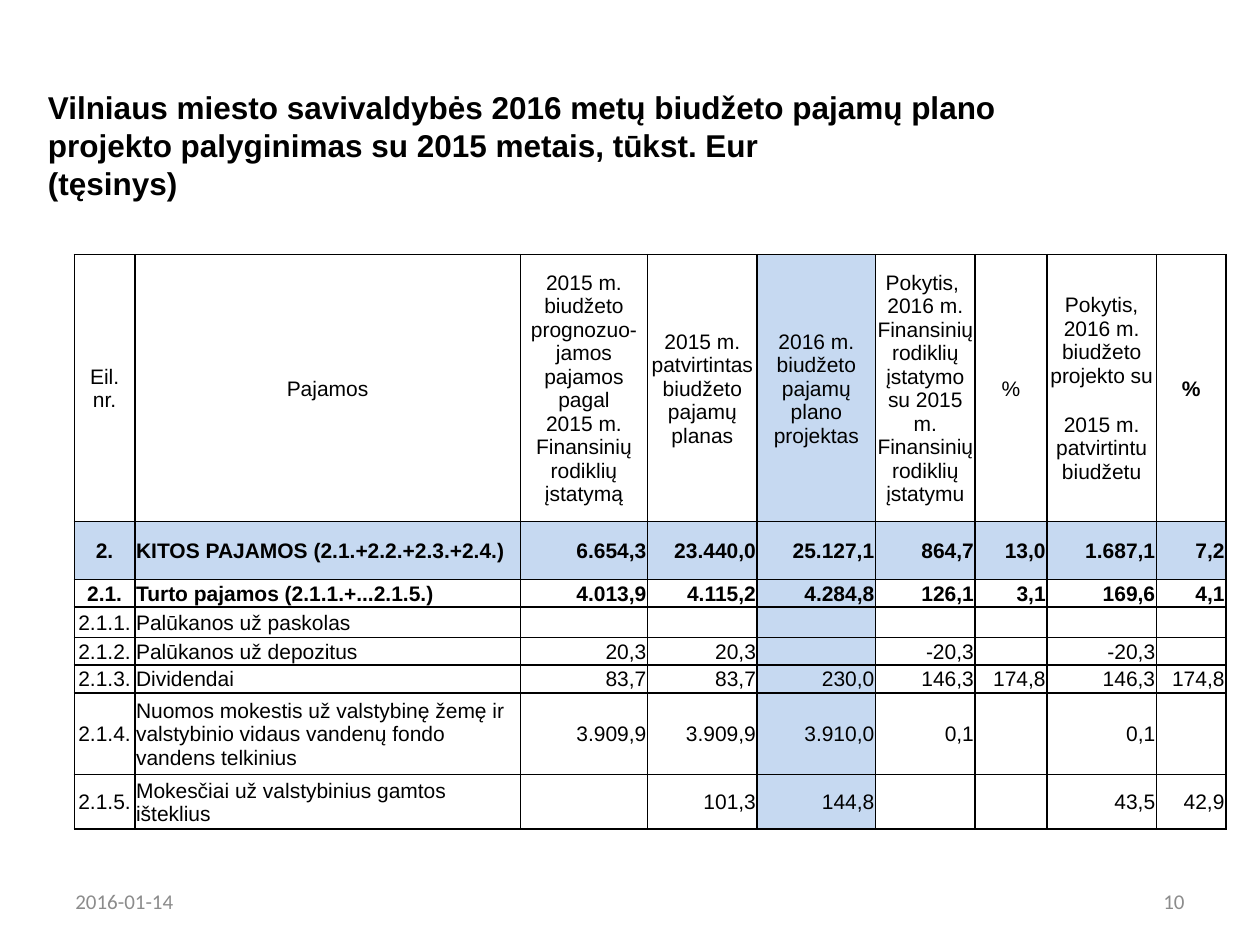
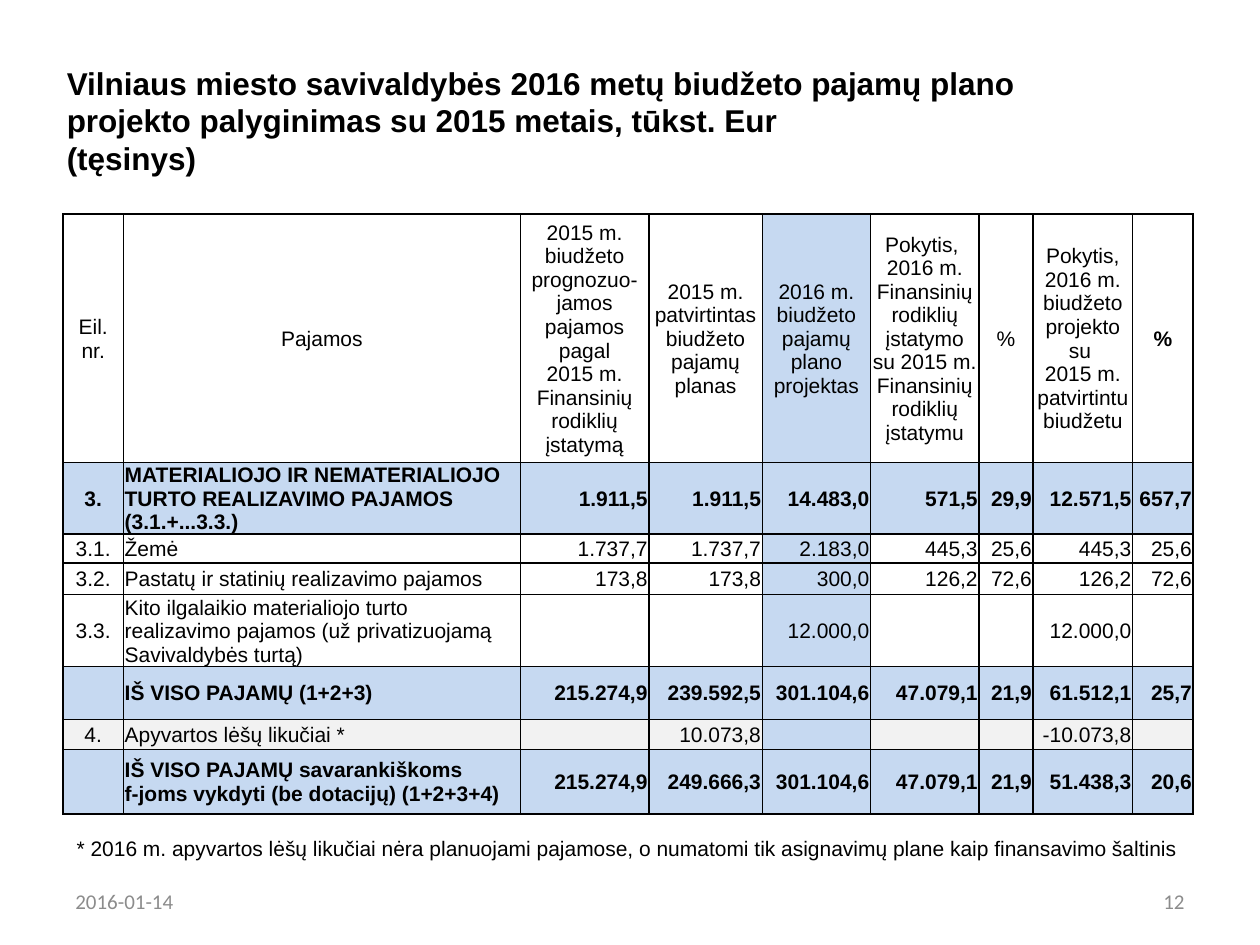
from lxml.etree import SubElement
from pptx import Presentation
from pptx.dml.color import RGBColor
from pptx.enum.text import MSO_ANCHOR as Anchor, MSO_AUTO_SIZE as AutoSize, PP_ALIGN as Align
from pptx.oxml import parse_xml
from pptx.oxml.ns import nsdecls, qn
from pptx.util import Inches, Pt

# Shared wording
TITLE = ("Vilniaus miesto savivaldybės 2016 metų biudžeto pajamų plano projekto "
         "palyginimas su 2015 metais, tūkst. Eur\v(tęsinys)")
DATE = "2016-01-14"
HEADINGS = [
    "Eil. nr.",
    "Pajamos",
    "2015 m. biudžeto prognozuo-jamos pajamos\vpagal\v2015 m. Finansinių rodiklių įstatymą",
    "2015 m. patvirtintas biudžeto pajamų planas",
    "2016 m. biudžeto pajamų plano projektas",
    "Pokytis, \v2016 m. Finansinių rodiklių įstatymo su 2015 m. Finansinių rodiklių įstatymu",
    "%",
    "Pokytis, 2016 m. biudžeto projekto su \v2015 m. patvirtintu biudžetu",
    "%",
]
NUMBER_COLUMN, NAME_COLUMN, PROJECT_COLUMN, LAST_COLUMN = 0, 1, 4, 8

# Shared style: text formats, then fill and weight for each kind of table row
BLACK, GREY, BLUE, PALE = "000000", "8C8C8C", "C6D9F1", "F2F2F2"
TITLE_TEXT = {"name": "Arial", "size": Pt(18), "bold": True, "color": BLACK}
BODY_TEXT = {"name": "Arial", "size": Pt(12), "bold": False, "color": BLACK}
BOLD_TEXT = {**BODY_TEXT, "bold": True}
FOOTER_TEXT = {"name": "Calibri", "size": Pt(12), "bold": False, "color": GREY}
ROW_STYLES = {
    "heading": (None, BODY_TEXT),
    "total": (BLUE, BOLD_TEXT),
    "subtotal": (None, BOLD_TEXT),
    "item": (None, BODY_TEXT),
    "balance": (PALE, BODY_TEXT),
}
TABLE_MARGINS = {"margin_left": Inches(0.01), "margin_top": Inches(0.01),
                 "margin_right": Inches(0.01), "margin_bottom": 0}

# Slide contents: positions in grid units, rows as (height, kind, cells)
SLIDES = [
    {
        "number": "10",
        "title": (2.8, 6.8, 78.7, 9.4),
        "table": (5.9, 20.2),
        "columns": [4.8, 30.6, 10.1, 8.7, 9.4, 7.9, 5.7, 8.7, 5.5],
        "heading": 21.2,
        "rows": [
            (4.6, "total", "2.|KITOS PAJAMOS (2.1.+2.2.+2.3.+2.4.)|6.654,3|23.440,0|25.127,1|864,7|13,0|1.687,1|7,2"),
            (2.2, "subtotal", "2.1.|Turto pajamos (2.1.1.+...2.1.5.)|4.013,9|4.115,2|4.284,8|126,1|3,1|169,6|4,1"),
            (2.4, "item", "2.1.1.|Palūkanos už paskolas|||||||"),
            (2.2, "item", "2.1.2.|Palūkanos už depozitus|20,3|20,3||-20,3||-20,3|"),
            (2.2, "item", "2.1.3.|Dividendai|83,7|83,7|230,0|146,3|174,8|146,3|174,8"),
            (6.5, "item", "2.1.4.|Nuomos mokestis už valstybinę žemę ir valstybinio vidaus vandenų fondo "
                          "vandens telkinius|3.909,9|3.909,9|3.910,0|0,1||0,1|"),
            (4.3, "item", "2.1.5.|Mokesčiai už valstybinius gamtos išteklius||101,3|144,8|||43,5|42,9"),
        ],
        "footnote": None,
    },
    {
        "number": "12",
        "title": (4.3, 5.2, 78.4, 8.7),
        "table": (5, 17),
        "columns": [4.8, 31.5, 10.2, 9, 8.6, 8.6, 4.3, 7.9, 4.8],
        "heading": 19.7,
        "rows": [
            (5.7, "total", "3.|MATERIALIOJO IR NEMATERIALIOJO TURTO REALIZAVIMO PAJAMOS (3.1.+...3.3.)"
                           "|1.911,5|1.911,5|14.483,0|571,5|29,9|12.571,5|657,7"),
            (2.3, "item", "3.1.|Žemė|1.737,7|1.737,7|2.183,0|445,3|25,6|445,3|25,6"),
            (2.5, "item", "3.2.|Pastatų ir statinių realizavimo pajamos|173,8|173,8|300,0|126,2|72,6|126,2|72,6"),
            (5.7, "item", "3.3.|Kito ilgalaikio materialiojo turto realizavimo pajamos (už privatizuojamą "
                          "Savivaldybės turtą)|||12.000,0|||12.000,0|"),
            (4.2, "total", "|IŠ VISO PAJAMŲ (1+2+3)|215.274,9|239.592,5|301.104,6|47.079,1|21,9|61.512,1|25,7"),
            (2.4, "balance", "4.|Apyvartos lėšų likučiai *||10.073,8||||-10.073,8|"),
            (5.1, "total", "|IŠ VISO PAJAMŲ savarankiškoms\nf-joms vykdyti (be dotacijų) (1+2+3+4)"
                           "|215.274,9|249.666,3|301.104,6|47.079,1|21,9|51.438,3|20,6"),
        ],
        "footnote": "* 2016 m. apyvartos lėšų likučiai nėra planuojami pajamose, o numatomi tik "
                    "asignavimų plane kaip finansavimo šaltinis",
    },
]


def color(hex_value):
    return RGBColor.from_string(hex_value)


class BudgetDeck:
    """Slides on a grid of 100 columns by 75 rows."""

    def __init__(self):
        self.presentation = Presentation()
        self.presentation.slide_width = Inches(10)
        self.presentation.slide_height = Inches(7.5)
        self.unit = self.presentation.slide_width / 100
        self.slide = None

    def grid(self, *lengths):
        return [round(length * self.unit) for length in lengths]

    def add_slide(self):
        self.slide = self.presentation.slides.add_slide(self.presentation.slide_layouts[5])

    def fill_text(self, frame, text, style, align=Align.LEFT):
        frame.text = text
        for paragraph in frame.paragraphs:
            paragraph.alignment = align
            for run in paragraph.runs:
                for key, value in style.items():
                    if key == "color":
                        run.font.color.rgb = color(value)
                    else:
                        setattr(run.font, key, value)
            # Line breaks and empty cells take the text size too
            size = str(int(style["size"].pt * 100))
            for line_break in paragraph._p.findall(qn("a:br")):
                SubElement(line_break, qn("a:rPr"), sz=size)
            if not paragraph.runs:
                SubElement(paragraph._p, qn("a:endParaRPr"), sz=size)

    def title(self, box):
        shape = self.slide.shapes.title
        shape.left, shape.top, shape.width, shape.height = self.grid(*box)
        frame = shape.text_frame
        self.fill_text(frame, TITLE, TITLE_TEXT)
        frame.auto_size, frame.word_wrap = AutoSize.NONE, True
        frame.vertical_anchor = Anchor.MIDDLE

    def text(self, box, text, style, align=Align.LEFT, anchor=Anchor.MIDDLE):
        frame = self.slide.shapes.add_textbox(*self.grid(*box)).text_frame
        frame.word_wrap, frame.vertical_anchor = True, anchor
        self.fill_text(frame, text, style, align)

    def footer(self, number):
        self.text((71.7, 69.5, 23.3, 4), number, FOOTER_TEXT, Align.RIGHT)
        self.text((5, 69.5, 23.3, 4), DATE, FOOTER_TEXT)

    def table(self, position, columns, rows):
        size = sum(columns), sum(height for height, _, _ in rows)
        frame = self.slide.shapes.add_table(len(rows), len(columns), *self.grid(*position, *size))
        table = frame.table
        table.first_row = table.horz_banding = False
        for column, width in zip(table.columns, self.grid(*columns)):
            column.width = width
        for row, (height, kind, values) in zip(table.rows, rows):
            row.height, = self.grid(height)
            for index, value in enumerate(values):
                self.cell(row.cells[index], index, kind, value)

    def cell(self, cell, index, kind, value):
        fill, style = ROW_STYLES[kind]
        if index == PROJECT_COLUMN:
            fill = BLUE
        if kind == "heading" and index == LAST_COLUMN:
            style = BOLD_TEXT
        if kind == "heading" or index == NUMBER_COLUMN:
            align = Align.CENTER
        else:
            align = Align.LEFT if index == NAME_COLUMN else Align.RIGHT
        self.fill_text(cell.text_frame, value, style, align)
        cell.vertical_anchor = Anchor.MIDDLE
        for key, margin in TABLE_MARGINS.items():
            setattr(cell, key, margin)
        if fill:
            cell.fill.solid()
            cell.fill.fore_color.rgb = color(fill)
        else:
            cell.fill.background()
        # Border lines stand before the fill
        for order, side in enumerate("LRTB"):
            line = parse_xml(f'<a:ln{side} {nsdecls("a")} w="{Pt(1)}"><a:solidFill>'
                             f'<a:srgbClr val="{BLACK}"/></a:solidFill></a:ln{side}>')
            cell._tc.get_or_add_tcPr().insert(order, line)


def main():
    deck = BudgetDeck()
    for content in SLIDES:
        deck.add_slide()
        deck.title(content["title"])
        rows = [(height, kind, cells.split("|")) for height, kind, cells in content["rows"]]
        heading = (content["heading"], "heading", HEADINGS)
        deck.table(content["table"], content["columns"], [heading, *rows])
        if content["footnote"]:
            deck.text((5.1, 65.8, 90.6, 3), content["footnote"], BODY_TEXT, anchor=Anchor.TOP)
        deck.footer(content["number"])
    deck.presentation.save("out.pptx")


if __name__ == "__main__":
    main()
